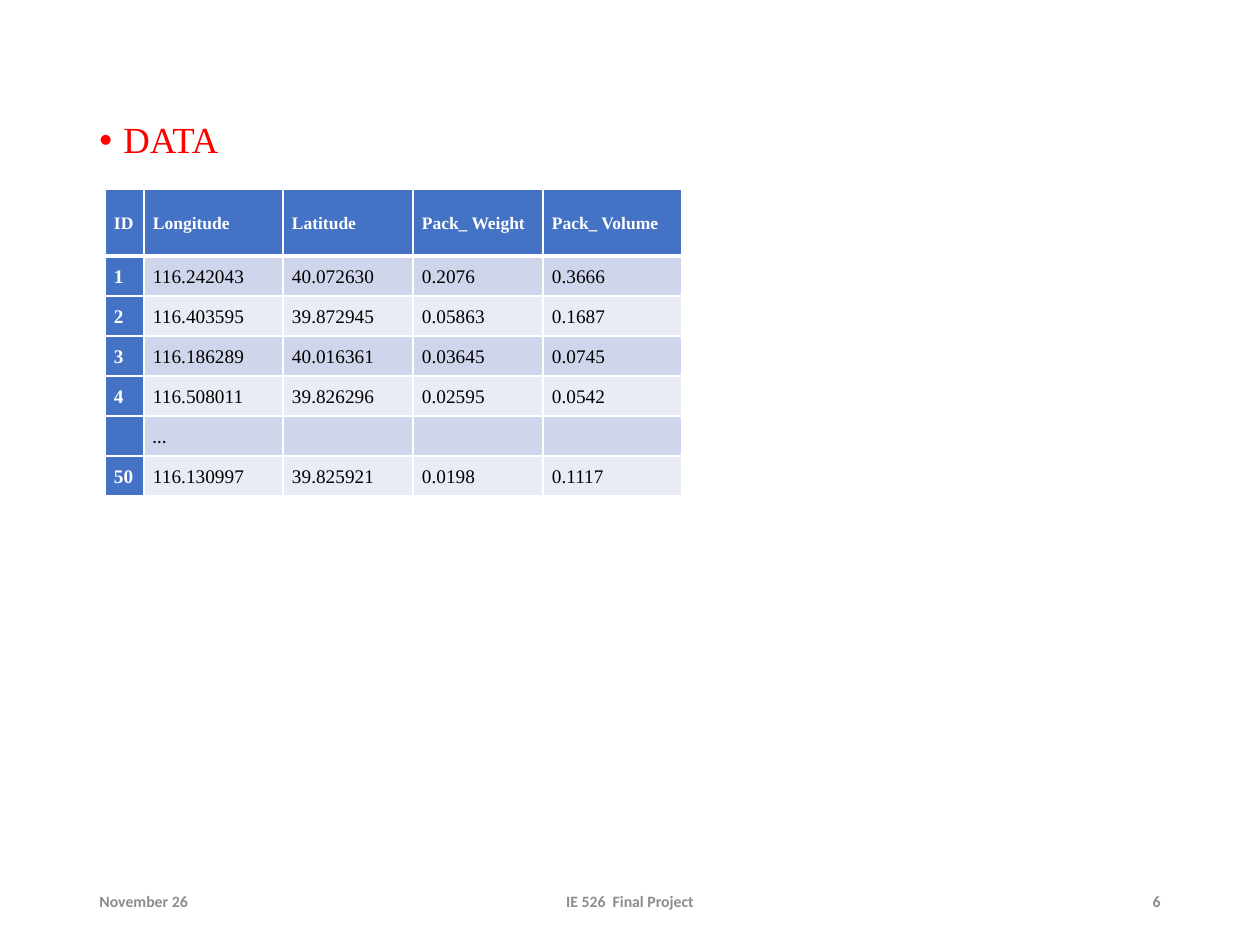
from pptx import Presentation
from pptx.dml.color import RGBColor
from pptx.enum.text import MSO_ANCHOR, PP_ALIGN
from pptx.oxml import parse_xml
from pptx.oxml.ns import nsdecls
from pptx.util import Pt

# Content
HEADING = "DATA"
FOOTERS = [  # text, left, width, alignment
    ("November 26", 87, 283, PP_ALIGN.LEFT),
    ("IE 526  Final Project", 417, 426, PP_ALIGN.CENTER),
    ("6", 890, 283, PP_ALIGN.RIGHT),
]
ROWS = [
    ("ID", "Longitude", "Latitude", "Pack_ Weight", "Pack_ Volume"),
    ("1", "116.242043", "40.072630", "0.2076", "0.3666"),
    ("2", "116.403595", "39.872945", "0.05863", "0.1687"),
    ("3", "116.186289", "40.016361", "0.03645", "0.0745"),
    ("4", "116.508011", "39.826296", "0.02595", "0.0542"),
    ("", "…", "", "", ""),
    ("50", "116.130997", "39.825921", "0.0198", "0.1117"),
]
COL_WIDTHS = [39, 139, 130, 130, 139]
ROW_HEIGHTS = [67] + [40] * (len(ROWS) - 1)
BLUE, BANDS = "4472C4", ("E9EBF5", "CFD5EA")
SERIF, SANS = "Times New Roman", "Calibri"


def px(n):
    return round(n * 914400 / 126)


def rgb(color):
    return RGBColor.from_string(color)


def write(tf, text, size, color, font=SERIF, bold=False, align=PP_ALIGN.LEFT, spacing=None):
    p = tf.paragraphs[0]
    p.alignment = align
    p.line_spacing = spacing
    r = p.add_run()
    r.text = text
    r.font.name, r.font.size, r.font.bold = font, Pt(size), bold
    r.font.color.rgb = rgb(color)
    return p


def add_box(s, left, top, width, height, anchor):
    tf = s.shapes.add_textbox(px(left), px(top), px(width), px(height)).text_frame
    tf.word_wrap = True
    tf.vertical_anchor = anchor
    return tf


def add_borders(cell, bottom):
    tc_pr = cell._tc.get_or_add_tcPr()
    for i, (side, width) in enumerate((("L", 1), ("R", 1), ("T", 1), ("B", bottom))):
        tc_pr.insert(i, parse_xml(
            f'<a:ln{side} {nsdecls("a")} w="{Pt(width)}"><a:solidFill>'
            f'<a:srgbClr val="FFFFFF"/></a:solidFill></a:ln{side}>'))


prs = Presentation()
prs.slide_width, prs.slide_height = px(1260), px(945)
s = prs.slides.add_slide(prs.slide_layouts[6])

# Bulleted heading
tf = add_box(s, 87, 116, 1086, 600, MSO_ANCHOR.TOP)
p = write(tf, HEADING, 21, "FF0000", spacing=0.9)
p.space_before = Pt(7.5)
pPr = p._p.get_or_add_pPr()
pPr.set("marL", str(px(24)))
pPr.set("indent", str(px(-24)))
pPr.append(parse_xml(f'<a:buFont {nsdecls("a")} typeface="Arial"/>'))
pPr.append(parse_xml(f'<a:buChar {nsdecls("a")} char="•"/>'))

# Footer
for text, left, width, align in FOOTERS:
    tf = add_box(s, left, 876, width, 50, MSO_ANCHOR.MIDDLE)
    write(tf, text, 9, "8C8C8C", font=SANS, bold=True, align=align)

# Data table
table = s.shapes.add_table(len(ROWS), len(COL_WIDTHS), px(105), px(189),
                           px(sum(COL_WIDTHS)), px(sum(ROW_HEIGHTS))).table
table.first_col = True
for col, width in zip(table.columns, COL_WIDTHS):
    col.width = px(width)
for i, (row, height) in enumerate(zip(ROWS, ROW_HEIGHTS)):
    table.rows[i].height = px(height)
    for j, text in enumerate(row):
        cell = table.cell(i, j)
        head = i == 0 or j == 0
        cell.vertical_anchor = MSO_ANCHOR.MIDDLE
        cell.margin_left = cell.margin_right = px(9)
        cell.margin_top = cell.margin_bottom = 0
        cell.fill.solid()
        cell.fill.fore_color.rgb = rgb(BLUE if head else BANDS[i % 2])
        add_borders(cell, bottom=1 if i else 3)
        if text:
            write(cell.text_frame, text, 11 if i else 10, "FFFFFF" if head else "000000",
                  font=SANS if text == "…" else SERIF, bold=head,
                  align=PP_ALIGN.JUSTIFY, spacing=1.07)

prs.save("out.pptx")
